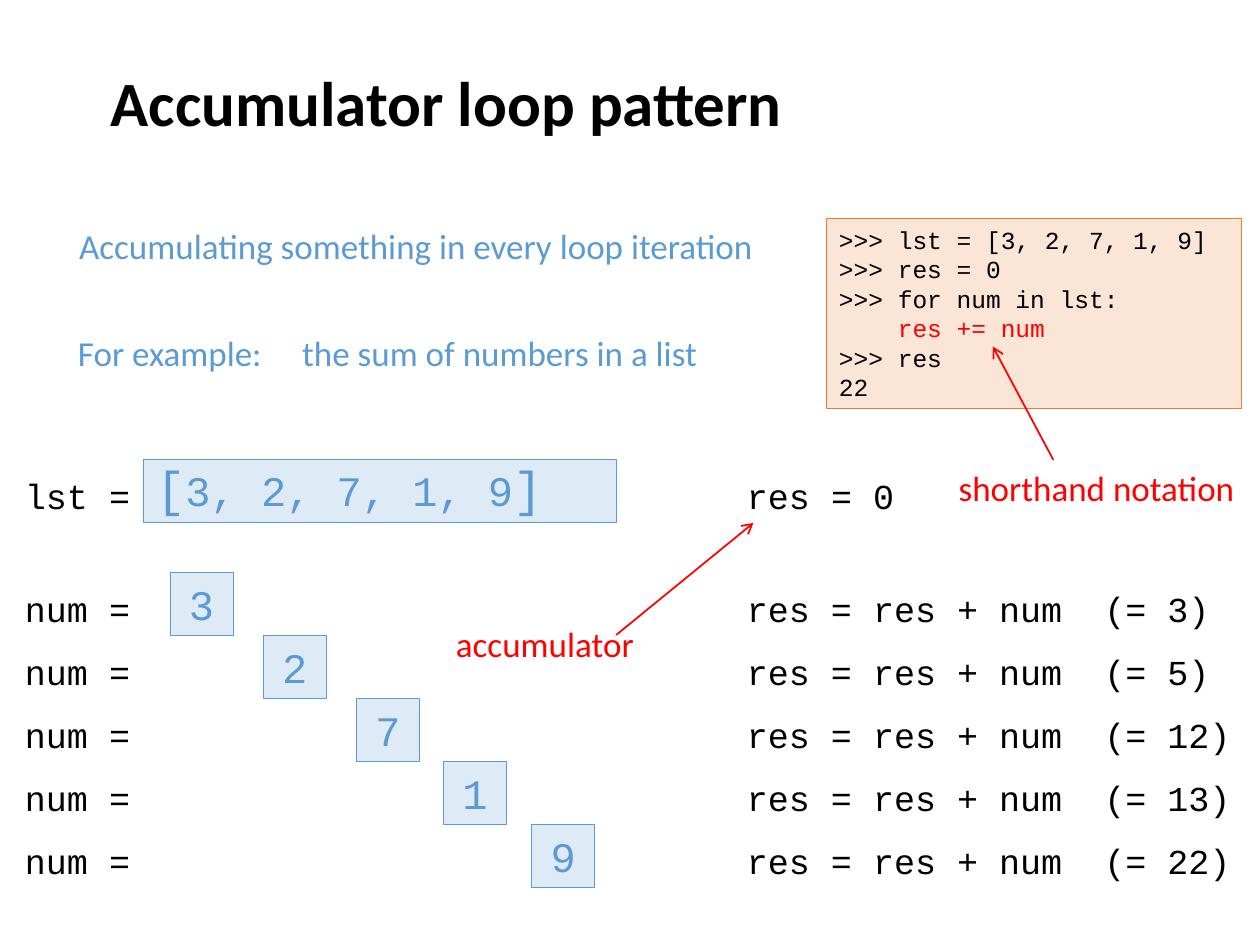
from itertools import accumulate

from lxml.etree import SubElement
from pptx import Presentation
from pptx.dml.color import RGBColor
from pptx.enum.shapes import MSO_CONNECTOR, MSO_SHAPE
from pptx.enum.text import MSO_ANCHOR, PP_ALIGN
from pptx.oxml.ns import qn
from pptx.util import Inches, Pt

BLUE, PALE, RED, BLACK = "5B9BD5", "DEEBF7", "FF0000", "000000"
SANS, MONO = "Calibri", "Courier New"
NUMS = [3, 2, 7, 1, 9]
LEFTS = [1.35, 2.09, 2.83, 3.52, 4.22]
CODE = """>>> lst = [3, 2, 7, 1, 9]
>>> res = 0
>>> for num in lst:
    res += num
>>> res
22"""


def paint(color):
    """Turn a hex string into a colour."""
    return RGBColor.from_string(color)


def style(run, size, face, color, bold=False):
    """Format one run."""
    font = run.font
    font.size, font.name, font.bold = Pt(size), face, bold
    font.color.rgb = paint(color)


def fill_text(shape, text, size, face, color, align=PP_ALIGN.LEFT, bold=False):
    """Write text into a shape and format every run."""
    frame = shape.text_frame
    frame.text = text
    frame.vertical_anchor = MSO_ANCHOR.MIDDLE
    for para in frame.paragraphs:
        para.alignment = align
        for run in para.runs:
            style(run, size, face, color, bold)
    return frame


def add_label(slide, text, left, top, width, face=MONO, color=BLACK, wrap=True):
    """Add one line of 20 point text."""
    box = slide.shapes.add_textbox(
        Inches(left), Inches(top), Inches(width), Inches(0.44))
    frame = fill_text(box, text, 20, face, color)
    frame.word_wrap = wrap
    return frame


def add_box(slide, left, top, width, height, fill=PALE, line=BLUE):
    """Add a thinly outlined rectangle."""
    box = slide.shapes.add_shape(
        MSO_SHAPE.RECTANGLE,
        Inches(left), Inches(top), Inches(width), Inches(height))
    box.shadow.inherit = False
    box.fill.solid()
    box.fill.fore_color.rgb = paint(fill)
    box.line.color.rgb = paint(line)
    box.line.width = Pt(0.5)
    return box


def add_arrow(slide, start, end):
    """Add a red line with an open arrowhead at its end."""
    line = slide.shapes.add_connector(
        MSO_CONNECTOR.STRAIGHT, *map(Inches, start + end))
    line.line.color.rgb = paint(RED)
    line.line.width = Pt(1)
    SubElement(line.line._get_or_add_ln(), qn("a:tailEnd"), type="arrow")
    SubElement(line._element.spPr, qn("a:effectLst"))


def add_title(slide, text):
    """Place and format the title."""
    title = slide.shapes.title
    title.left, title.top = Inches(0.78), Inches(0)
    title.width, title.height = Inches(8.5), Inches(1.61)
    fill_text(title, text, 36, SANS, BLACK, bold=True)


def add_intro(slide):
    """Add the two lines that explain the pattern."""
    add_label(slide, "Accumulating something in every loop iteration",
              0.53, 1.73, 6, SANS, BLUE)
    frame = add_label(slide, "For example:\tthe sum of numbers in a list",
                      0.52, 2.58, 5.62, SANS, BLUE)
    props = frame.paragraphs[0]._p.get_or_add_pPr()
    tabs = SubElement(props, qn("a:tabLst"))
    SubElement(tabs, qn("a:tab"), pos=str(Inches(1.78)), algn="l")


def add_code(slide):
    """Add the code sample with its red line."""
    box = add_box(slide, 6.56, 1.73, 3.29, 1.51, "FBE5D6", "ED7D31")
    frame = fill_text(box, CODE, 14, MONO, BLACK)
    style(frame.paragraphs[3].runs[0], 14, MONO, RED)


def add_list(slide):
    """Add the list box with larger brackets."""
    box = add_box(slide, 1.14, 3.65, 3.75, 0.5)
    frame = box.text_frame
    frame.vertical_anchor = MSO_ANCHOR.BOTTOM
    para = frame.paragraphs[0]
    para.alignment = PP_ALIGN.LEFT
    items = ", ".join(map(str, NUMS))
    for text, size in (("[", 28), (items, 24), ("]", 28)):
        run = para.add_run()
        run.text = text
        style(run, size, MONO, BLUE)


def add_steps(slide):
    """Add the starting row and one row for each number."""
    add_label(slide, "lst =", 0.1, 3.71, 1.04, wrap=False)
    add_list(slide)
    add_label(slide, "res = 0", 5.83, 3.71, 2.22)
    for row, (num, left, total) in enumerate(
            zip(NUMS, LEFTS, accumulate(NUMS))):
        top = 4.54 + row * 0.5
        add_label(slide, "num =", 0.1, top + 0.07, 1.04, wrap=False)
        box = add_box(slide, left, top, 0.5, 0.5)
        fill_text(box, str(num), 24, MONO, BLUE, PP_ALIGN.CENTER)
        add_label(slide, f"res = res + num  (= {total})",
                  5.83, top + 0.07, 4.1)


def add_notes(slide):
    """Add the red remarks and their arrows."""
    add_label(slide, "accumulator", 3.52, 4.89, 1.63, SANS, RED, False)
    add_arrow(slide, (4.89, 5.04), (5.98, 4.15))
    add_label(slide, "shorthand notation", 7.51, 3.65, 2.41, SANS, RED, False)
    add_arrow(slide, (8.36, 3.65), (7.88, 2.75))


def main():
    """Build and save the slide."""
    deck = Presentation()
    deck.slide_width, deck.slide_height = Inches(10), Inches(7.5)
    slide = deck.slides.add_slide(deck.slide_layouts[5])
    add_title(slide, "Accumulator loop pattern")
    add_intro(slide)
    add_steps(slide)
    add_code(slide)
    add_notes(slide)
    deck.save("out.pptx")


if __name__ == "__main__":
    main()
